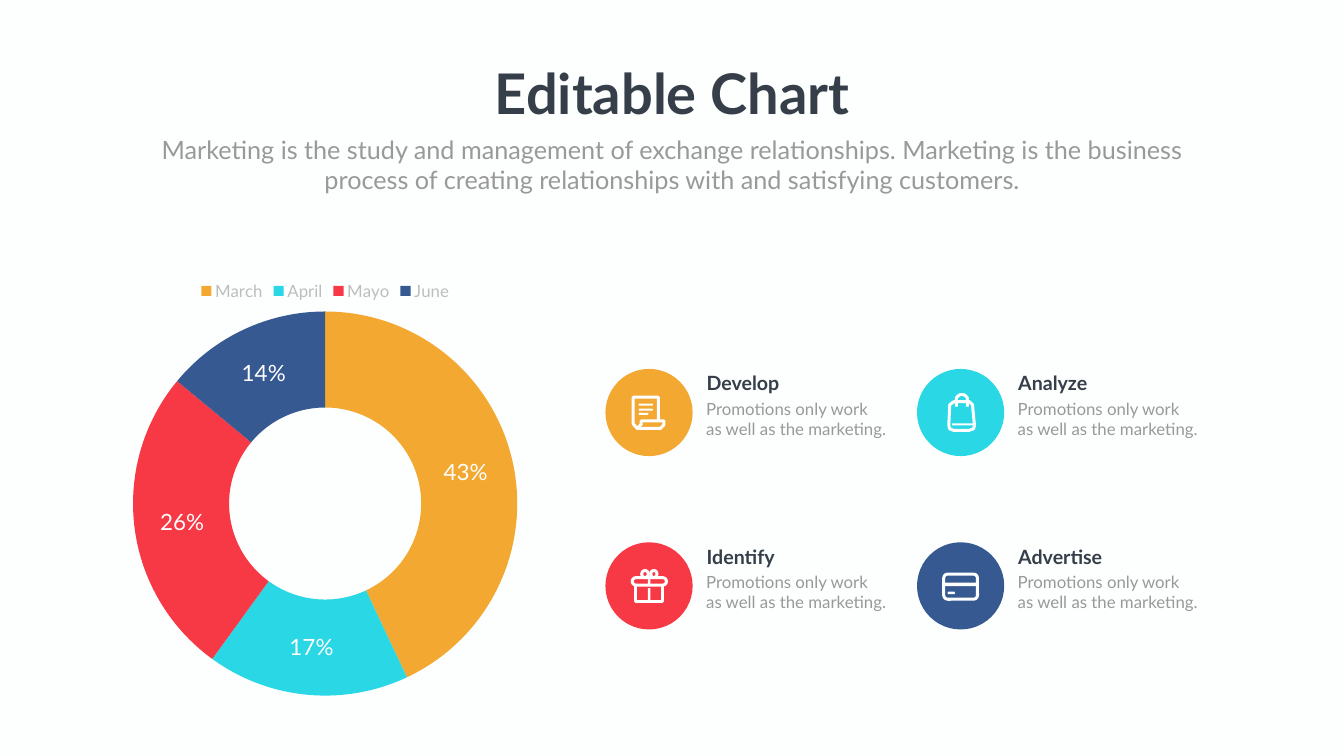
import math

from pptx import Presentation
from pptx import util as u
from pptx.chart.data import CategoryChartData
from pptx.dml.color import RGBColor
from pptx.enum import chart as ch
from pptx.enum import shapes, text

PX = 9144  # EMU per px: 100 px to the inch
FONT = "Lato"
WHITE, DARK, GREY, PALE = "FFFFFF", "353E49", "989998", "BCBDBC"
ORANGE, CYAN, RED, BLUE = "F3A832", "2AD7E4", "F73945", "365992"

TITLE = {"size": u.Pt(80), "bold": True}
INTRO = {"size": u.Pt(36)}
HEADING = {"size": u.Pt(28), "bold": True}
BODY = {"size": u.Pt(24)}

INTRO_TEXT = (
    "Marketing is the study and management of exchange relationships. "
    "Marketing is the business process of creating relationships with "
    "and satisfying customers."
)
PROMOTION = ["Promotions only work", "as well as the marketing."]
SHARES = [("March", 43, ORANGE), ("April", 17, CYAN), ("Mayo", 26, RED), ("June", 14, BLUE)]

DISC, STROKE = 173, 6
LEFT, TOP, COLUMN_STEP, ROW_STEP = 1201, 732, 618, 344

HANDLE_ARC = [
    (round(89 - 11 * math.cos(math.radians(a))), round(62 - 11 * math.sin(math.radians(a))))
    for a in range(0, 181, 15)
]

# Icon parts are measured from the top left corner of their disc.
SCROLL = {
    "paths": [[(63, 118), (109, 118), (116, 111), (116, 103), (71, 103), (71, 110),
               (63, 118), (55, 109), (55, 56), (105, 56), (105, 103)]],
    "bars": [(66, 69, 28, 4), (66, 79, 28, 4), (66, 87, 19, 4)],
}
BAG = {
    "paths": [
        [(73, 65), (104, 65), (110, 71), (114, 112), (112, 119), (103, 122),
         (73, 122), (65, 119), (63, 112), (65, 71), (73, 65)],
        [(78, 75), *HANDLE_ARC, (100, 75)],
    ],
    "bars": [(69, 108, 43, 4)],
}
GIFT = {
    "paths": [[(60, 82), (60, 117), (114, 117), (114, 82)]],
    "frames": [(69, 53, 19, 20), (87, 53, 18, 20), (50, 67, 74, 21)],
    "bars": [(84, 69, 5, 16), (84, 91, 5, 26)],
}
CARD = {
    "frames": [(50, 60, 73, 56)],
    "bars": [(54, 80, 66, 7), (61, 98, 14, 5)],
}
TOPICS = [
    ("Develop", ORANGE, SCROLL), ("Analyze", CYAN, BAG),
    ("Identify", RED, GIFT), ("Advertise", BLUE, CARD),
]


def px(*lengths):
    return [u.Emu(length * PX) for length in lengths]


def rgb(value):
    return RGBColor.from_string(value)


def set_font(font, color, style):
    font.name = FONT
    font.color.rgb = rgb(color)
    for name, value in style.items():
        setattr(font, name, value)


def add_text(slide, box, lines, color, style, align=text.PP_ALIGN.LEFT, wrap=True):
    frame = slide.shapes.add_textbox(*px(*box)).text_frame
    frame.word_wrap = wrap
    frame.auto_size = text.MSO_AUTO_SIZE.SHAPE_TO_FIT_TEXT
    frame.text = "\n".join(lines)
    for paragraph in frame.paragraphs:
        paragraph.alignment = align
        set_font(paragraph.font, color, style)


def paint(shape, color):
    shape.shadow.inherit = False
    shape.fill.solid()
    shape.fill.fore_color.rgb = rgb(color)
    shape.line.fill.background()


def outline(shape):
    shape.shadow.inherit = False
    shape.fill.background()
    shape.line.color.rgb = rgb(WHITE)
    shape.line.width = u.Emu(STROKE * PX)


def add_bar(slide, x, y, width, height):
    bar = slide.shapes.add_shape(shapes.MSO_SHAPE.ROUNDED_RECTANGLE, *px(x, y, width, height))
    bar.adjustments[0] = 0.3
    paint(bar, WHITE)


def add_frame(slide, x, y, width, height):
    """Hollow rounded box whose stroke stays inside the given bounds."""
    inset = STROKE // 2
    bounds = px(x + inset, y + inset, width - STROKE, height - STROKE)
    frame = slide.shapes.add_shape(shapes.MSO_SHAPE.ROUNDED_RECTANGLE, *bounds)
    frame.adjustments[0] = min(0.5, 8 / (height - STROKE))
    outline(frame)


def add_stroke(slide, points):
    builder = slide.shapes.build_freeform(*points[0], scale=PX)
    builder.add_line_segments(points[1:], close=points[0] == points[-1])
    outline(builder.convert_to_shape())


def add_icon(slide, x, y, icon):
    for points in icon.get("paths", []):
        add_stroke(slide, [(x + dx, y + dy) for dx, dy in points])
    for add_part, key in ((add_frame, "frames"), (add_bar, "bars")):
        for dx, dy, width, height in icon.get(key, []):
            add_part(slide, x + dx, y + dy, width, height)


def add_topic(slide, x, y, heading, color, icon):
    disc = slide.shapes.add_shape(shapes.MSO_SHAPE.OVAL, *px(x, y, DISC, DISC))
    paint(disc, color)
    add_icon(slide, x, y, icon)
    add_text(slide, (x + 191, y, 220, 57), [heading], DARK, HEADING)
    add_text(slide, (x + 190, y + 54, 390, 91), PROMOTION, GREY, BODY)


def add_share_chart(slide):
    data = CategoryChartData()
    data.categories = [month for month, _, _ in SHARES]
    data.add_series("Series 1", [share for _, share, _ in SHARES])
    chart = slide.shapes.add_chart(
        ch.XL_CHART_TYPE.DOUGHNUT, *px(176, 543, 938, 851), data).chart
    chart.has_title = False
    set_font(chart.font, GREY, {"size": u.Pt(20)})

    chart.has_legend = True
    chart.legend.position = ch.XL_LEGEND_POSITION.TOP
    chart.legend.include_in_layout = False
    set_font(chart.legend.font, PALE, {"size": u.Pt(24)})

    plot = chart.plots[0]
    plot.vary_by_categories = True
    series = plot.series[0]
    for index, (_, _, color) in enumerate(SHARES):
        slice_format = series.points[index].format
        slice_format.fill.solid()
        slice_format.fill.fore_color.rgb = rgb(color)
        slice_format.line.fill.background()

    labels = series.data_labels
    shown = {"show_percentage": True, "show_value": False, "number_format": "0%",
             "number_format_is_linked": False}
    for name, value in shown.items():
        setattr(labels, name, value)
    set_font(labels.font, WHITE, {"size": u.Pt(32)})


def main():
    deck = Presentation()
    deck.slide_width, deck.slide_height = px(2666, 1500)
    slide = deck.slides.add_slide(deck.slide_layouts[6])
    slide.background.fill.solid()
    slide.background.fill.fore_color.rgb = rgb("FDFFFE")

    center = text.PP_ALIGN.CENTER
    add_text(slide, (965, 112, 737, 145), ["Editable Chart"], DARK, TITLE, center, wrap=False)
    add_text(slide, (292, 261, 2082, 131), [INTRO_TEXT], GREY, INTRO, center)
    add_share_chart(slide)
    for index, topic in enumerate(TOPICS):
        row, column = divmod(index, 2)
        add_topic(slide, LEFT + column * COLUMN_STEP, TOP + row * ROW_STEP, *topic)
    deck.save("out.pptx")


if __name__ == "__main__":
    main()
